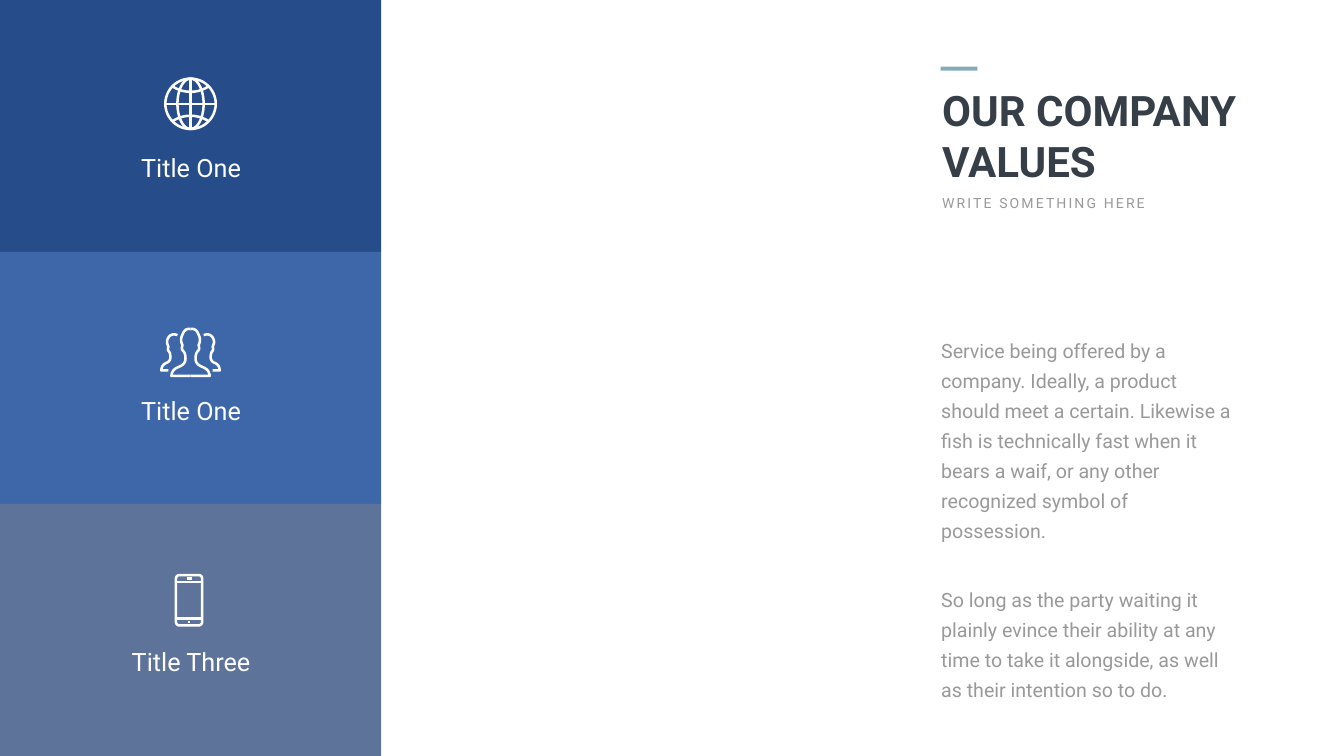
from math import cos, pi, sin, sqrt

from pptx import Presentation
from pptx.dml.color import RGBColor
from pptx.enum.shapes import MSO_SHAPE as Shape
from pptx.enum.text import MSO_AUTO_SIZE as AutoSize, PP_ALIGN as Align
from pptx.util import Inches, Pt

COLORS = {
    "navy": "264D89", "blue": "3E67AA", "slate": "5D739A", "accent": "84ACB6",
    "heading": "363E48", "muted": "999999", "white": "FFFFFF",
}
PANEL_WIDTH, PANEL_HEIGHT = 7.56, 5
AXIS = PANEL_WIDTH / 2


def arc(cx, cy, rx, ry, start=0, end=2 * pi, steps=48):
    angles = [start + (end - start) * i / steps for i in range(steps + 1)]
    return [(cx + rx * cos(a), cy + ry * sin(a)) for a in angles]


def trace(start, *segments, steps=10):
    """Points along a path; a segment is a line end (x, y) or a cubic curve (six numbers)."""
    points = [start]
    for segment in segments:
        if len(segment) == 2:
            points.append(segment)
            continue
        x0, y0 = points[-1]
        x1, y1, x2, y2, x3, y3 = segment
        for i in range(1, steps + 1):
            t = i / steps
            a, b, c, d = (1 - t) ** 3, 3 * t * (1 - t) ** 2, 3 * t * t * (1 - t), t ** 3
            points.append((a * x0 + b * x1 + c * x2 + d * x3,
                           a * y0 + b * y1 + c * y2 + d * y3))
    return points


def mirror(points):
    return [(2 * AXIS - x, y) for x, y in points]


def globe():
    cy, radius, bow, reach = 2.06, 0.5, 0.25, 0.36
    edge = sqrt(radius ** 2 - reach ** 2)
    parallels = [
        trace((AXIS - reach, cy + side * edge),
              (AXIS - 0.15, cy + side * 0.2, AXIS + 0.15, cy + side * 0.2,
               AXIS + reach, cy + side * edge))
        for side in (-1, 1)
    ]
    return [
        arc(AXIS, cy, radius, radius),
        arc(AXIS, cy, bow + 0.01, radius),
        [(AXIS - radius, cy), (AXIS + radius, cy)],
        [(AXIS, cy - radius), (AXIS, cy + radius)],
    ] + parallels


def people():
    front = trace(
        (AXIS, 6.53), (3.86, 6.51, 3.91, 6.56, 3.94, 6.64),
        (3.99, 6.74, 3.96, 6.8, 3.94, 6.85), (3.96, 6.92, 3.95, 6.94, 3.93, 6.96),
        (3.89, 7, 3.88, 7.05, 3.88, 7.12), (3.88, 7.21, 3.95, 7.25, 3.99, 7.27),
        (4.06, 7.3, 4.15, 7.33, 4.16, 7.46), (AXIS, 7.46))
    back = trace(
        (4.04, 6.65), (4.12, 6.62, 4.2, 6.63, 4.24, 6.74),
        (4.26, 6.8, 4.23, 6.84, 4.22, 6.88), (4.23, 6.92, 4.23, 6.94, 4.22, 6.96),
        (4.19, 6.99, 4.18, 7.03, 4.18, 7.09), (4.18, 7.16, 4.23, 7.19, 4.26, 7.2),
        (4.32, 7.23, 4.35, 7.26, 4.36, 7.35), (4.22, 7.35))
    return [front, mirror(front), back, mirror(back)]


def phone():
    left, right, top, bottom, r = 3.49, 4.01, 11.41, 12.41, 0.07
    corners = [(right - r, bottom - r), (left + r, bottom - r),
               (left + r, top + r), (right - r, top + r)]
    case = [point for i, (x, y) in enumerate(corners)
            for point in arc(x, y, r, r, i * pi / 2, (i + 1) * pi / 2, 8)]
    bars = [(left, right, 11.55), (left, right, 12.27),
            (3.7, 3.8, 11.48), (3.73, 3.77, 12.34)]
    return [case + case[:1]] + [[(x1, y), (x2, y)] for x1, x2, y in bars]


class SlideBuilder:
    font = "Roboto"
    stroke = Pt(3.6)

    def __init__(self, slide):
        self.slide = slide

    def color(self, name):
        return RGBColor.from_string(COLORS[name])

    def block(self, x, y, w, h, fill):
        rect = self.slide.shapes.add_shape(
            Shape.RECTANGLE, Inches(x), Inches(y), Inches(w), Inches(h))
        rect.shadow.inherit = False
        rect.fill.solid()
        rect.fill.fore_color.rgb = self.color(fill)
        rect.line.fill.background()

    def text(self, x, y, w, h, paragraphs, size, color, align=Align.LEFT, bold=False,
             wrap=True, tracking=None, leading=None, gap=None, inset=(0.1, 0.05)):
        """Tracking, leading and the gap between paragraphs are in points."""
        frame = self.slide.shapes.add_textbox(
            Inches(x), Inches(y), Inches(w), Inches(h)).text_frame
        frame.word_wrap = wrap
        frame.auto_size = AutoSize.SHAPE_TO_FIT_TEXT
        frame.margin_left = frame.margin_right = Inches(inset[0])
        frame.margin_top = frame.margin_bottom = Inches(inset[1])
        frame.text = "\n".join(paragraphs)
        for i, paragraph in enumerate(frame.paragraphs):
            paragraph.alignment = align
            if leading:
                paragraph.line_spacing = Pt(leading)
            if gap and i:
                paragraph.space_before = Pt(gap)
            for run in paragraph.runs:
                run.font.name, run.font.size, run.font.bold = self.font, Pt(size), bold
                run.font.color.rgb = self.color(color)
                if tracking:
                    run.font._element.set("spc", str(tracking * 100))

    def icon(self, strokes):
        """One outline shape made of several pen strokes."""
        paths = [[(Inches(x), Inches(y)) for x, y in stroke] for stroke in strokes]
        builder = self.slide.shapes.build_freeform(*paths[0][0])
        builder.add_line_segments(paths[0][1:], close=False)
        for path in paths[1:]:
            builder.move_to(*path[0])
            builder.add_line_segments(path[1:], close=False)
        outline = builder.convert_to_shape()
        outline.shadow.inherit = False
        outline.fill.background()
        outline.line.color.rgb = self.color("white")
        outline.line.width = self.stroke


def main():
    deck = Presentation()
    deck.slide_width, deck.slide_height = Inches(26.66), Inches(15)
    page = SlideBuilder(deck.slides.add_slide(deck.slide_layouts[6]))

    page.text(18.43, 6.47, 6.35, 7.01, [
        "Service being offered by a company. Ideally, a product should meet a certain. "
        "Likewise a fish is technically fast when it bears a waif, or any other "
        "recognized symbol of possession.",
        "So long as the party waiting it plainly evince their ability at any time to "
        "take it alongside, as well as their intention so to do.",
    ], 28, "muted", leading=43, gap=54.4, inset=(0.24, 0.12))
    page.text(18.59, 1.63, 6.35, 2.12, ["OUR COMPANY VALUES"], 60, "heading", bold=True)
    page.text(18.59, 3.81, 4.35, 0.44, ["WRITE SOMETHING HERE"], 20, "muted",
              wrap=False, tracking=3)
    page.block(18.66, 1.32, 0.73, 0.08, "accent")

    panels = [
        ("navy", "Title One", 2.97, globe),
        ("blue", "Title One", 7.8, people),
        ("slate", "Title Three", 12.77, phone),
    ]
    for row, (fill, title, title_top, icon_strokes) in enumerate(panels):
        page.block(0, row * PANEL_HEIGHT, PANEL_WIDTH, PANEL_HEIGHT, fill)
        page.text(2, title_top, 3.58, 0.71, [title], 36, "white", Align.CENTER)
        page.icon(icon_strokes())

    deck.save("out.pptx")


if __name__ == "__main__":
    main()
